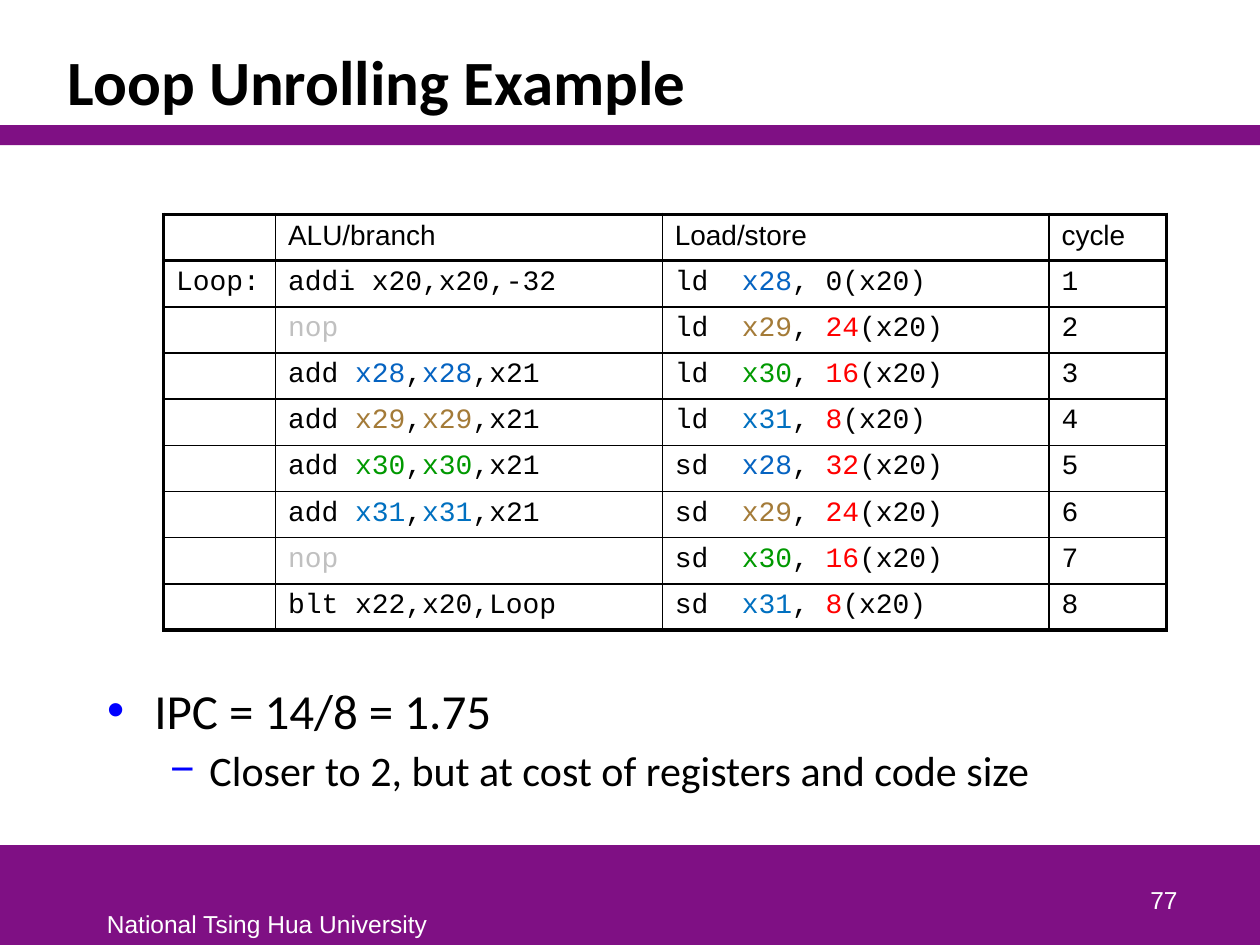
"""Build the loop unrolling example slide with its two-issue schedule table."""
from lxml.etree import SubElement
from pptx import Presentation
from pptx.dml.color import RGBColor
from pptx.enum.shapes import MSO_SHAPE as Shape
from pptx.enum.text import MSO_ANCHOR as Anchor, MSO_AUTO_SIZE as AutoSize, PP_ALIGN as Align
from pptx.oxml.ns import qn
from pptx.util import Pt

BLACK, WHITE, PURPLE, RED, BLUE = "000000", "FFFFFF", "7F1084", "FF0000", "0000FF"
PIECE_COLOURS = {
    "x28": "0563C1", "x29": "A47B38", "x30": "009900", "x31": "0070C0", "nop": "C0C0C0",
    "8": RED, "16": RED, "24": RED, "32": RED,
}


def colour(hex_string):
    return RGBColor.from_string(hex_string)


def add_run(paragraph, text, hex_string, **font_format):
    run = paragraph.add_run()
    run.text = text
    run.font.color.rgb = colour(hex_string)
    for name, value in font_format.items():
        setattr(run.font, name, value)


presentation = Presentation()
presentation.slide_width, presentation.slide_height = Pt(720), Pt(540)
slide = presentation.slides.add_slide(presentation.slide_layouts[1])
title, conclusions = slide.placeholders

for top, height in ((483, 57), (71.5, 11.5)):
    band = slide.shapes.add_shape(Shape.RECTANGLE, 0, Pt(top), Pt(720), Pt(height))
    band.shadow.inherit = False
    band.fill.solid()
    band.fill.fore_color.rgb = colour(PURPLE)
    band.line.fill.background()

title_place = {"left": Pt(31.5), "top": Pt(18), "width": Pt(657), "height": Pt(53.5)}
conclusions_place = {"left": Pt(54), "top": Pt(385), "width": Pt(652), "height": Pt(106)}
for placeholder, place in ((title, title_place), (conclusions, conclusions_place)):
    for name, value in place.items():
        setattr(placeholder, name, value)
    placeholder.text_frame.auto_size = AutoSize.NONE

title.text_frame.vertical_anchor = Anchor.BOTTOM
heading = title.text_frame.paragraphs[0]
heading.alignment = Align.LEFT
heading.line_spacing = 0.85
add_run(heading, "Loop Unrolling Example", BLACK, name="Calibri", size=Pt(36), bold=True)

points = (
    ("IPC = 14/8 = 1.75", 28, "•", 27, -27, 0),
    ("Closer to 2, but at cost of registers and code size", 24, "−", 58.5, -22.5, 3),
)
for level, (text, size, bullet, margin, indent, space) in enumerate(points):
    point = conclusions.text_frame.add_paragraph() if level else conclusions.text_frame.paragraphs[0]
    point.level = level
    point.space_before = Pt(space)
    properties = point._p.get_or_add_pPr()
    properties.set("marL", str(Pt(margin)))
    properties.set("indent", str(Pt(indent)))
    SubElement(SubElement(properties, qn("a:buClr")), qn("a:srgbClr"), val=BLUE)
    SubElement(properties, qn("a:buFont"), typeface="Arial")
    SubElement(properties, qn("a:buChar"), char=bullet)
    add_run(point, text, BLACK, name="Calibri", size=Pt(size))

schedule = (
    ("", "ALU/branch", "Load/store", "cycle"),
    ("Loop:", "addi x20,x20,-32", "ld  |x28|, 0(x20)", "1"),
    ("", "|nop|", "ld  |x29|, |24|(x20)", "2"),
    ("", "add |x28|,|x28|,x21", "ld  |x30|, |16|(x20)", "3"),
    ("", "add |x29|,|x29|,x21", "ld  |x31|, |8|(x20)", "4"),
    ("", "add |x30|,|x30|,x21", "sd  |x28|, |32|(x20)", "5"),
    ("", "add |x31|,|x31|,x21", "sd  |x29|, |24|(x20)", "6"),
    ("", "|nop|", "sd  |x30|, |16|(x20)", "7"),
    ("", "blt x22,x20,Loop", "sd  |x31|, |8|(x20)", "8"),
)
column_widths = (64, 221, 221, 67)
row_height = 26.4
last_row, last_column = len(schedule) - 1, len(column_widths) - 1
table = slide.shapes.add_table(
    len(schedule), len(column_widths), Pt(93.5), Pt(122.5),
    Pt(sum(column_widths)), Pt(row_height * len(schedule))).table
table.first_row = table.horz_banding = False
for column, width in zip(table.columns, column_widths):
    column.width = Pt(width)

for r, instructions in enumerate(schedule):
    table.rows[r].height = Pt(row_height)
    for c, instruction in enumerate(instructions):
        cell = table.cell(r, c)
        borders = {
            "a:lnL": 2.25 if c == 0 else 1,
            "a:lnR": 2.25 if c == last_column else 1,
            "a:lnT": {0: 2.25, 1: 1.5}.get(r, 1),
            "a:lnB": {0: 1.5, last_row: 2.25}.get(r, 1),
        }
        for tag, width in borders.items():
            line = SubElement(cell._tc.get_or_add_tcPr(), qn(tag), w=str(Pt(width)))
            SubElement(SubElement(line, qn("a:solidFill")), qn("a:srgbClr"), val=BLACK)
        cell.fill.background()
        if not instruction:
            cell.margin_top = cell.margin_bottom = 0
        typeface = "Courier New" if r else "Arial"
        for position, piece in enumerate(instruction.split("|")):
            if piece:
                shade = PIECE_COLOURS[piece] if position % 2 else BLACK
                add_run(cell.text_frame.paragraphs[0], piece, shade, name=typeface, size=Pt(16))

footers = (
    ("National Tsing Hua University", (54, 516, 199, 24), Align.LEFT, Anchor.TOP, False),
    ("77", (530, 490, 150, 36), Align.RIGHT, Anchor.BOTTOM, True),
)
for text, place, alignment, anchor, wrap in footers:
    frame = slide.shapes.add_textbox(*map(Pt, place)).text_frame
    frame.word_wrap = wrap
    frame.vertical_anchor = anchor
    frame.paragraphs[0].alignment = alignment
    add_run(frame.paragraphs[0], text, WHITE, name="Arial", size=Pt(14))

presentation.save("out.pptx")
